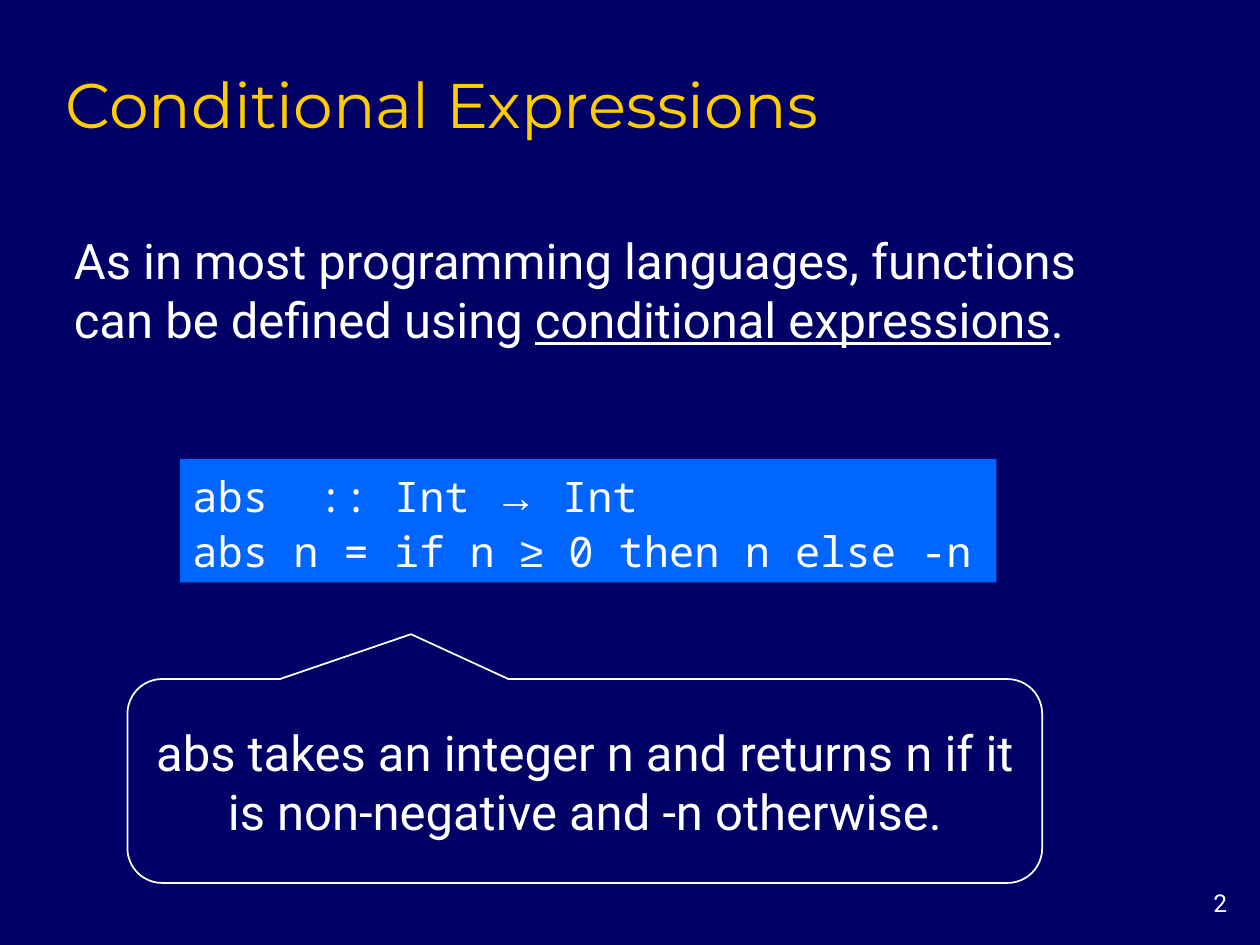
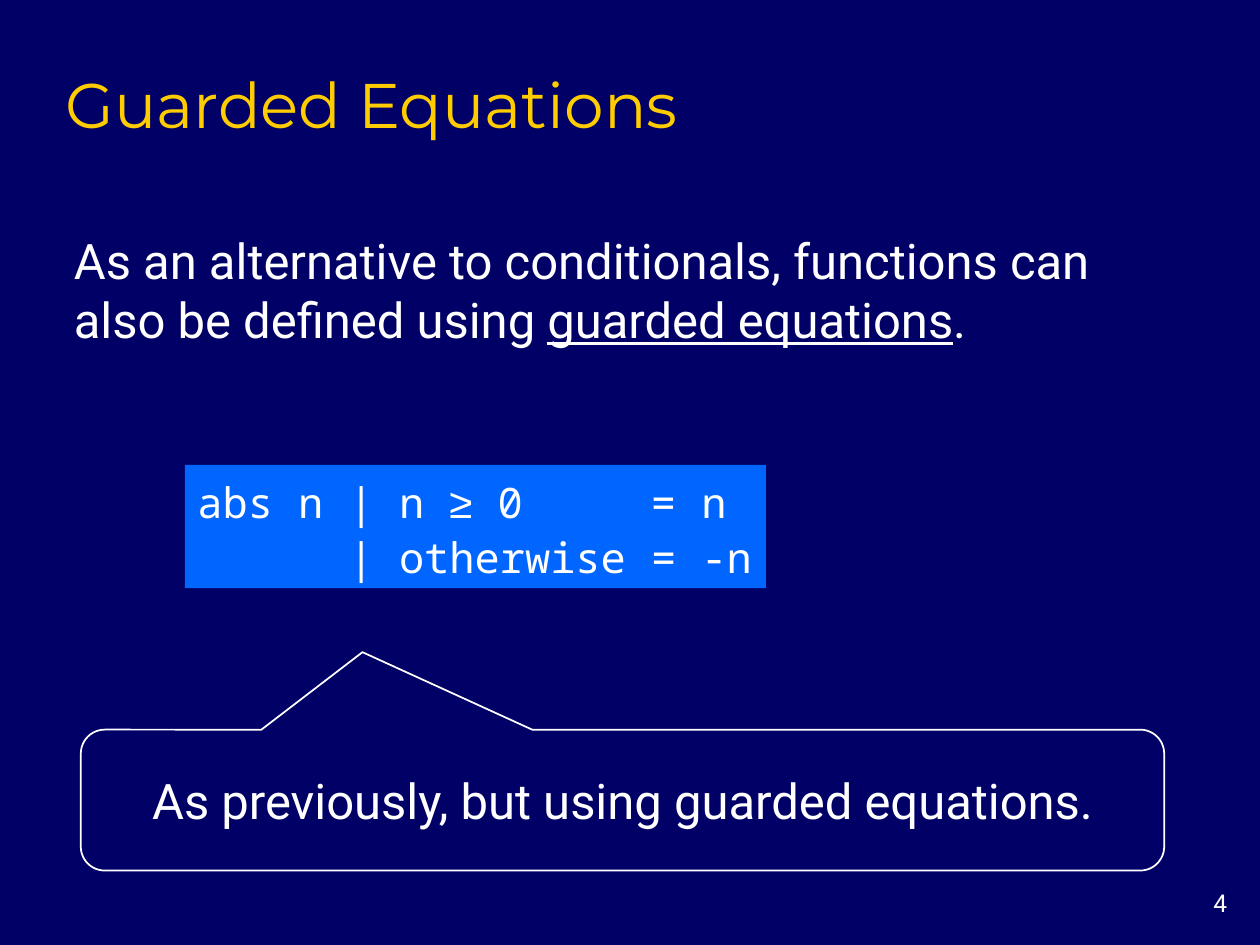
from lxml.etree import SubElement
from pptx import Presentation
from pptx.dml.color import RGBColor
from pptx.enum.shapes import MSO_SHAPE as Preset
from pptx.enum.text import MSO_ANCHOR as Anchor, PP_ALIGN as Align
from pptx.oxml.ns import qn
from pptx.util import Cm, Pt

COLORS = {"night": "000066", "gold": "FFCC00", "white": "FFFFFF", "code": "0066FF"}
TITLE_FONT, BODY_FONT, CODE_FONT, SYMBOL_FONT = "Montserrat", "Roboto", "Noto Sans Mono", "Arial"
SYMBOLS = "→≥"
CODE_COLUMN = 0.508


def color(name):
    return RGBColor.from_string(COLORS[name])


def add_span(para, text, size, font=BODY_FONT, tint="white", underline=None):
    span = para.add_run()
    span.text = text
    span.font.size = Pt(size)
    span.font.name = font
    span.font.color.rgb = color(tint)
    span.font.underline = underline


def prepare_frame(box, anchor=Anchor.MIDDLE):
    frame = box.text_frame
    frame.word_wrap = True
    frame.vertical_anchor = anchor
    return frame


def add_text_box(page, place, anchor=Anchor.MIDDLE, align=Align.LEFT):
    box = page.shapes.add_textbox(*map(Cm, place))
    para = prepare_frame(box, anchor).paragraphs[0]
    para.alignment = align
    return para


def add_shape(page, preset, place):
    box = page.shapes.add_shape(preset, *map(Cm, place))
    box.shadow.inherit = False
    return box


def add_page(deck, title, number):
    page = deck.slides.add_slide(deck.slide_layouts[6])
    number_para = add_text_box(page, (23.29, 17.78, 1.7, 0.84), Anchor.TOP, Align.RIGHT)
    add_span(number_para, str(number), 14)
    title_para = add_text_box(page, (1.07, 1.07, 21.59, 1.9), Anchor.BOTTOM)
    add_span(title_para, title, 36, TITLE_FONT, "gold")
    return page


def add_intro(page, width, lead, term):
    para = add_text_box(page, (1.24, 4.52, width, 2.64))
    add_span(para, lead, 28)
    add_span(para, term, 28, underline=True)
    add_span(para, ".", 28)


def set_tab_columns(para, columns):
    tab_list = SubElement(para._p.get_or_add_pPr(), qn("a:tabLst"))
    for column in columns:
        SubElement(tab_list, qn("a:tab"), pos=str(Cm(column * CODE_COLUMN)), algn="l")


def add_code_spans(para, line):
    text = ""
    for letter in line:
        if letter in SYMBOLS:
            add_span(para, text, 24, CODE_FONT)
            add_span(para, letter, 24, SYMBOL_FONT)
            text = ""
        else:
            text += letter
    add_span(para, text, 24, CODE_FONT)


def add_code(page, place, lines):
    box = add_shape(page, Preset.RECTANGLE, place)
    box.fill.solid()
    box.fill.fore_color.rgb = color("code")
    box.line.fill.background()
    frame = prepare_frame(box)
    frame.margin_right = 0
    for index, (line, columns) in enumerate(lines):
        para = frame.add_paragraph() if index else frame.paragraphs[0]
        para.alignment = Align.LEFT
        para.line_spacing = 1.1
        if columns:
            set_tab_columns(para, columns)
        add_code_spans(para, line)


def add_callout(page, place, tip, text):
    box = add_shape(page, Preset.ROUNDED_RECTANGULAR_CALLOUT, place)
    box.fill.background()
    box.line.color.rgb = color("white")
    box.line.width = Pt(1)
    box.adjustments[0], box.adjustments[1] = tip
    box.adjustments[2] = 0.17
    para = prepare_frame(box).paragraphs[0]
    para.alignment = Align.CENTER
    add_span(para, text, 28)


def add_conditionals(deck):
    page = add_page(deck, "Conditional Expressions", 2)
    add_intro(page, 22.48, "As in most programming languages, functions can be defined using ",
              "conditional expressions")
    add_code(page, (3.63, 9.25, 16.46, 2.49), [
        ("abs\t:: Int → Int", [5]),
        ("abs n = if n ≥ 0 then n else -n", []),
    ])
    add_callout(page, (2.57, 13.69, 18.44, 4.11), (-0.19, -0.72),
                "abs takes an integer n and returns n if it is non-negative and -n otherwise.")


def add_guards(deck):
    page = add_page(deck, "Guarded Equations", 4)
    add_intro(page, 22.96, "As an alternative to conditionals, functions can also be defined using ",
              "guarded equations")
    add_code(page, (3.73, 9.37, 11.71, 2.49), [
        ("abs n | n ≥ 0\t= n", [18]),
        ("\t| otherwise = -n", [6]),
    ])
    add_callout(page, (1.63, 14.71, 21.84, 2.84), (-0.24, -1.05),
                "As previously, but using guarded equations.")


def main():
    deck = Presentation()
    deck.slide_width, deck.slide_height = Cm(25.4), Cm(19.05)
    backdrop = deck.slide_master.background.fill
    backdrop.solid()
    backdrop.fore_color.rgb = color("night")
    add_conditionals(deck)
    add_guards(deck)
    deck.save("out.pptx")


if __name__ == "__main__":
    main()
